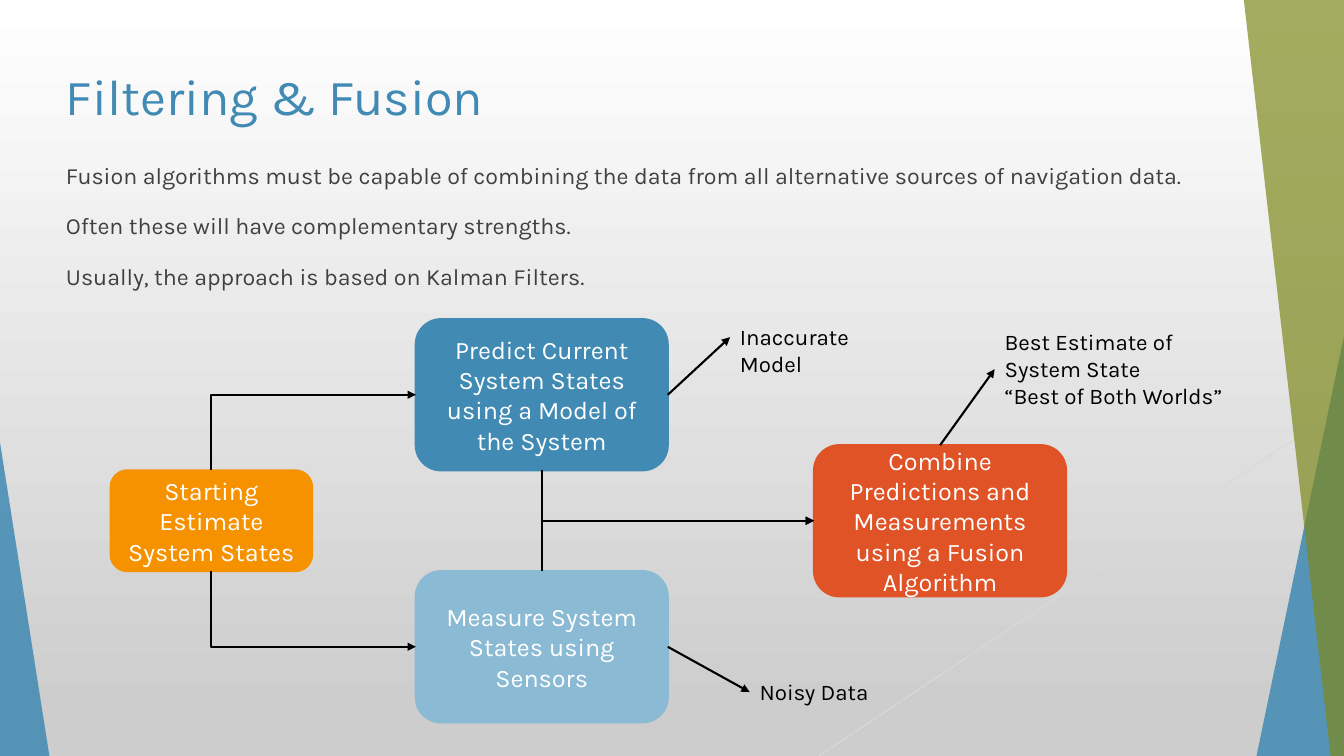
from lxml import etree
from pptx import Presentation
from pptx.dml.color import RGBColor
from pptx.enum.shapes import MSO_CONNECTOR as Link, MSO_SHAPE as Kind
from pptx.enum.text import MSO_ANCHOR as Anchor, MSO_AUTO_SIZE as Fit, PP_ALIGN as Align
from pptx.oxml.ns import qn
from pptx.util import Pt

FONT = "Karla"
WIDE, HIGH = 960, 540
HEX = {
    "white": "FFFFFF", "black": "000000", "gray": "404040", "pale": "D9D9D9",
    "fade": "CDCDCD", "blue": "418AB3", "sky": "8ABAD4", "amber": "F69200",
    "red": "DF5327", "steel": "5694B7", "olive": "7D891D",
}
TITLE = "Filtering & Fusion"
BODY = [
    "Fusion algorithms must be capable of combining the data from all alternative sources of navigation data.",
    "Often these will have complementary strengths.",
    "Usually, the approach is based on Kalman Filters.",
]
# name: (text, colour, left, top, width, height)
STEPS = {
    "start": ("Starting Estimate System States", "amber", 79, 336, 144, 72),
    "predict": ("Predict Current System States using a Model of the System", "blue", 297, 228, 180, 108),
    "measure": ("Measure System States using Sensors", "sky", 297, 408, 180, 108),
    "combine": ("Combine Predictions and Measurements using a Fusion Algorithm", "red", 581.5, 318, 180, 108),
}
# name: (lines, left, top, width, height)
NOTES = {
    "noisy": (["Noisy Data"], 535.5, 481, 92, 26.7),
    "rough": (["Inaccurate Model"], 521.5, 227.5, 138.9, 26.7),
    "best": (["Best Estimate of System State", "“Best of Both Worlds”"], 710.5, 231, 180, 65.5),
}
TOP, LEFT, BOTTOM, RIGHT = range(4)
BENDS = [
    ("start", TOP, "predict"), ("start", BOTTOM, "measure"),
    ("predict", BOTTOM, "combine"), ("measure", TOP, "combine"),
]
RAYS = [("measure", RIGHT, "noisy"), ("predict", RIGHT, "rough"), ("combine", TOP, "best")]

deck = Presentation()
deck.slide_width, deck.slide_height = Pt(WIDE), Pt(HIGH)
slide = deck.slides.add_slide(deck.slide_layouts[6])
shapes = slide.shapes


def tint(name):
    return RGBColor.from_string(HEX[name])


def paint(shape, color, alpha=100, edge=0):
    shape.shadow.inherit = False
    shape.fill.solid()
    shape.fill.fore_color.rgb = tint(color)
    if alpha < 100:
        rgb = shape.fill._xPr.find(".//" + qn("a:srgbClr"))
        etree.SubElement(rgb, qn("a:alpha")).set("val", str(alpha * 1000))
    if edge:
        shape.line.color.rgb = tint(color)
        shape.line.width = Pt(edge)
    else:
        shape.line.fill.background()


def write(para, text, size, color):
    run = para.add_run()
    run.text = text
    run.font.name, run.font.size = FONT, Pt(size)
    run.font.color.rgb = tint(color)


def add_box(*area):
    box = shapes.add_textbox(*map(Pt, area))
    box.text_frame.word_wrap = True
    return box


def style(line, color, width, arrow=False):
    line.line.color.rgb = tint(color)
    line.line.width = Pt(width)
    if arrow:
        etree.SubElement(line.line._get_or_add_ln(), qn("a:tailEnd")).set("type", "triangle")
    etree.SubElement(line._element.spPr, qn("a:effectLst"))


def join(kind, first, site, last):
    line = shapes.add_connector(kind, 0, 0, 0, 0)
    line.begin_connect(parts[first], site)
    line.end_connect(parts[last], LEFT)
    style(line, "black", 1.5, True)
    return line


def bend(first, site, last):
    """Join two steps by one corner: up or down first, then right."""
    line = join(Link.ELBOW, first, site, last)
    wide, high = line.width, line.height
    mid_x, mid_y = line.left + wide // 2, line.top + high // 2
    line.left, line.top = mid_x - high // 2, mid_y - wide // 2
    line.width, line.height = high, wide
    props = line._element.spPr
    props.find(qn("a:prstGeom")).set("prst", "bentConnector2")
    frame = props.find(qn("a:xfrm"))
    rises = site == TOP
    frame.set("rot", str((90 if rises else 270) * 60000))
    frame.set("flipH", "1")
    frame.set("flipV", "1" if rises else "0")


def decorate():
    back = slide.background.fill
    back.gradient()
    back.gradient_angle = 270
    for stop, (place, color) in zip(back.gradient_stops, [(0, "white"), (0.94, "fade")]):
        stop.position = place
        stop.color.rgb = tint(color)
    ray = shapes.add_connector(Link.STRAIGHT, Pt(WIDE), Pt(290), Pt(585), Pt(HIGH))
    style(ray, "pale", 0.75)

    def wedge(left, top, width, tip, color, alpha):
        shape = shapes.add_shape(Kind.ISOSCELES_TRIANGLE, *map(Pt, (left, top, width, HIGH - top)))
        shape.adjustments[0] = tip
        paint(shape, color, alpha)

    wedge(897.5, 240, 62.5, 1, "steel", 100)
    band = shapes.build_freeform(Pt(888.5), 0)
    band.add_line_segments([(Pt(x), Pt(y)) for x, y in [(WIDE, 0), (WIDE, HIGH), (950.5, HIGH)]])
    paint(band.convert_to_shape(), "olive", 70)
    wedge(0, 316, 35.3, 0, "blue", 85)


decorate()
parts = {}
for name, (text, color, *area) in STEPS.items():
    step = parts[name] = shapes.add_shape(Kind.ROUNDED_RECTANGLE, *map(Pt, area))
    paint(step, color, edge=1.5)
    frame = step.text_frame
    frame.word_wrap, frame.vertical_anchor = True, Anchor.MIDDLE
    frame.paragraphs[0].alignment = Align.CENTER
    write(frame.paragraphs[0], text, 18, "white")

for name, (lines, *area) in NOTES.items():
    note = parts[name] = add_box(*area)
    note.text_frame.auto_size = Fit.SHAPE_TO_FIT_TEXT
    para = note.text_frame.paragraphs[0]
    for i, text in enumerate(lines):
        if i:
            para.add_line_break()
        write(para, text, 16, "black")

for ends in BENDS:
    bend(*ends)
for ends in RAYS:
    join(Link.STRAIGHT, *ends)

frame = add_box(40, 111.6, 840, 116).text_frame
for i, text in enumerate(BODY):
    para = frame.add_paragraph() if i else frame.paragraphs[0]
    if i:
        para.space_before = Pt(10)
    para.space_after = Pt(6)
    write(para, text, 16.6, "gray")

head = add_box(40, 42, 751, 51).text_frame
head.vertical_anchor = Anchor.BOTTOM
write(head.paragraphs[0], TITLE, 36, "blue")

deck.save("out.pptx")
